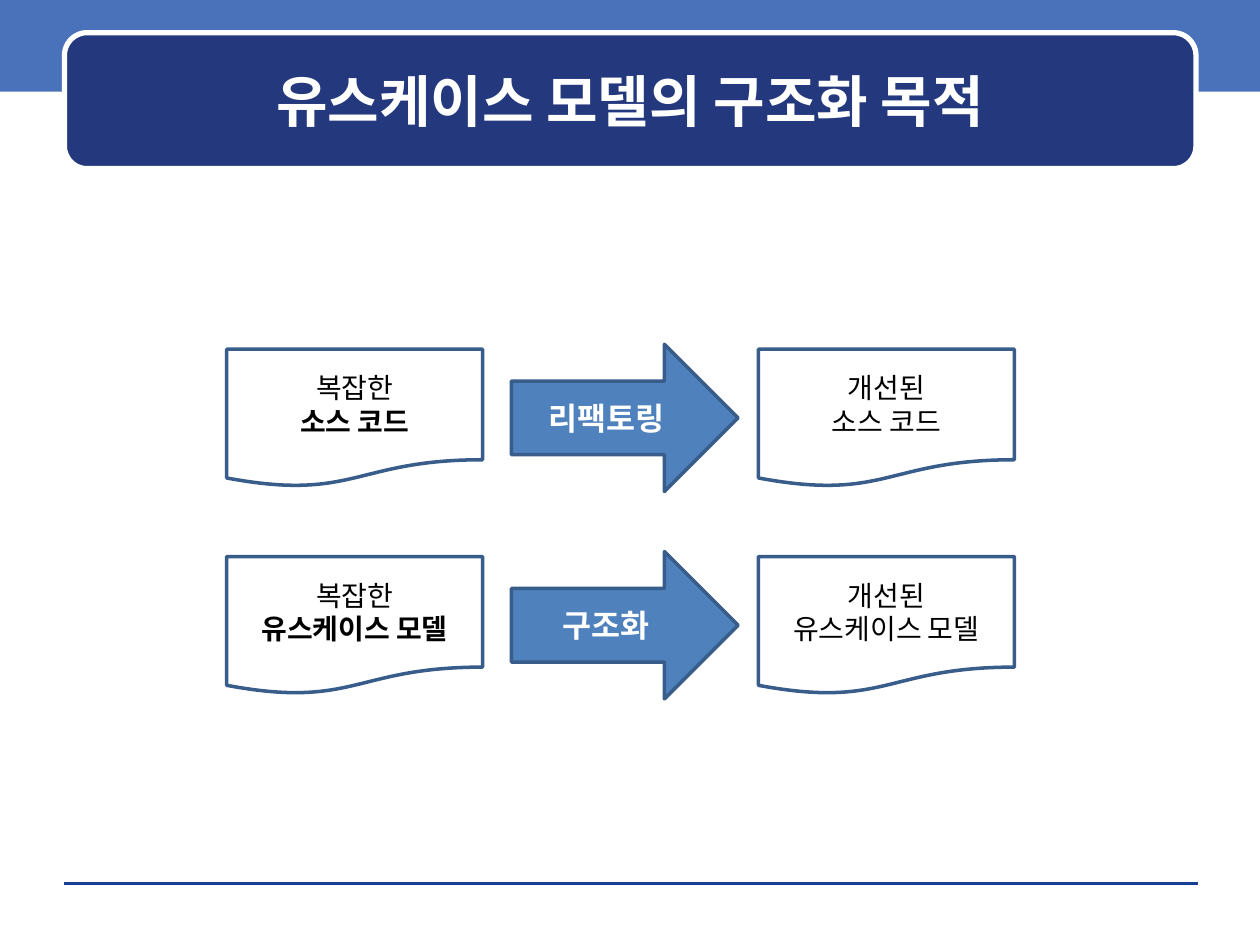
from dataclasses import dataclass

from lxml import etree
from pptx import Presentation
from pptx import util as u
from pptx.dml.color import RGBColor
from pptx.enum import shapes, text
from pptx.oxml import ns


@dataclass(frozen=True)
class Theme:
    font: str = "Noto Sans CJK KR"
    band: RGBColor = RGBColor(0x49, 0x72, 0xBB)
    panel: RGBColor = RGBColor(0x23, 0x38, 0x7D)
    rule: RGBColor = RGBColor(0x1A, 0x3D, 0x97)
    arrow: RGBColor = RGBColor(0x4F, 0x81, 0xBD)
    outline: RGBColor = RGBColor(0x38, 0x5D, 0x8A)
    white: RGBColor = RGBColor(0xFF, 0xFF, 0xFF)
    black: RGBColor = RGBColor(0, 0, 0)
    title_size: int = 32
    arrow_size: int = 18
    document_size: int = 16


theme = Theme()
presentation = Presentation()
presentation.slide_width, presentation.slide_height = u.Cm(25.4), u.Cm(19.05)
slide = presentation.slides.add_slide(presentation.slide_layouts[6])


def add_box(kind, left, top, width, height, fill=None, line=None, line_width=2):
    shape = slide.shapes.add_shape(kind, u.Cm(left), u.Cm(top), u.Cm(width), u.Cm(height))
    shape.shadow.inherit = False
    if fill is None:
        shape.fill.background()
    else:
        shape.fill.solid()
        shape.fill.fore_color.rgb = fill
    if line is None:
        shape.line.fill.background()
    else:
        shape.line.color.rgb = line
        shape.line.width = u.Pt(line_width)
    return shape


def write(shape, content, size, color, bold_lines):
    frame = shape.text_frame
    frame.text = content
    frame.word_wrap = True
    frame.vertical_anchor = text.MSO_ANCHOR.MIDDLE
    for paragraph, bold in zip(frame.paragraphs, bold_lines):
        paragraph.alignment = text.PP_ALIGN.CENTER
        for run in paragraph.runs:
            run.font.size = u.Pt(size)
            run.font.bold = bold
            run.font.color.rgb = color
            run.font.name = theme.font
            # Korean letters take the East Asian font
            east_asian = etree.SubElement(run.font._element, ns.qn("a:ea"))
            east_asian.set("typeface", theme.font)


# Header band and footer rule
add_box(shapes.MSO_SHAPE.RECTANGLE, 0, 0, 25.4, 1.85, theme.band)
rule = slide.shapes.add_connector(
    shapes.MSO_CONNECTOR.STRAIGHT, u.Cm(1.3), u.Cm(17.81), u.Cm(24.16), u.Cm(17.81))
rule.line.color.rgb = theme.rule
rule.line.width = u.Pt(0)
etree.SubElement(rule._element.spPr, ns.qn("a:effectLst"))

# Title panel
add_box(shapes.MSO_SHAPE.ROUNDED_RECTANGLE, 1.3, 0.66, 22.81, 2.74,
        theme.panel, theme.white, 3)
title = slide.shapes.add_textbox(u.Cm(1.52), u.Cm(0.89), u.Cm(22.38), u.Cm(2.24))
write(title, "유스케이스 모델의 구조화 목적", theme.title_size, theme.white, [True])

# One row per subject: complex document, arrow, improved document
first_top, row_pitch = 7.04, 4.18
rows = [("소스 코드", "리팩토링"), ("유스케이스 모델", "구조화")]
for row, (subject, action) in enumerate(rows):
    top = first_top + row * row_pitch
    for left, state, bold in [(4.57, "복잡한", True), (15.29, "개선된", False)]:
        document = add_box(shapes.MSO_SHAPE.FLOWCHART_DOCUMENT, left, top, 5.16, 2.78,
                           line=theme.outline)
        write(document, f"{state}\n{subject}", theme.document_size, theme.black,
              [False, bold])
    arrow = add_box(shapes.MSO_SHAPE.RIGHT_ARROW, 10.31, top - 0.1, 4.57, 2.97,
                    theme.arrow, theme.outline)
    write(arrow, action, theme.arrow_size, theme.white, [True])

presentation.save("out.pptx")
